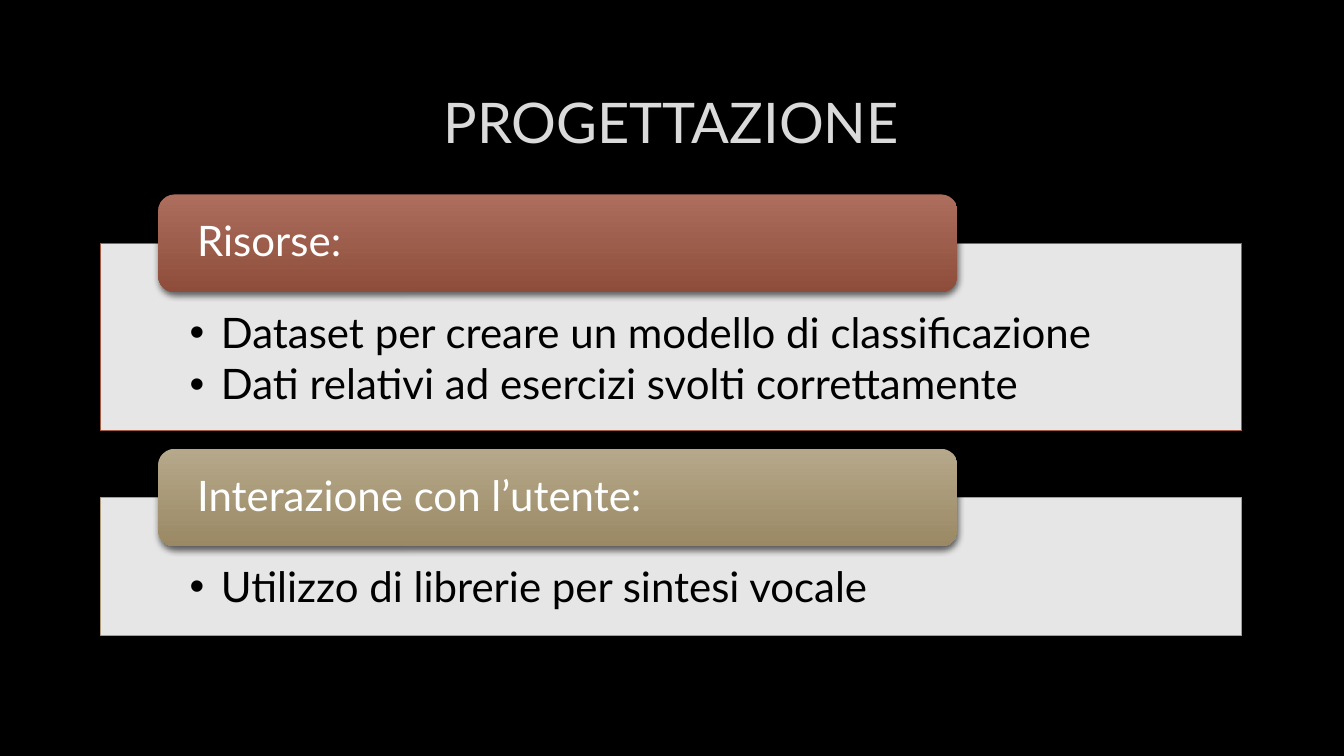
"""Build the PROGETTAZIONE slide with two titled panels."""
from lxml.etree import SubElement
from pptx import Presentation
from pptx.dml.color import RGBColor
from pptx.enum.shapes import MSO_SHAPE
from pptx.enum.text import MSO_ANCHOR, PP_ALIGN
from pptx.oxml.ns import qn
from pptx.util import Cm, Pt

BLACK = RGBColor(0x00, 0x00, 0x00)
WHITE = RGBColor(0xFF, 0xFF, 0xFF)
TITLE_GREY = RGBColor(0xDA, 0xDA, 0xDA)
RED_LINE = RGBColor(0xA5, 0x5A, 0x43)
RED_TOP = RGBColor(0xAD, 0x6E, 0x5E)
RED_BOTTOM = RGBColor(0x8E, 0x4D, 0x3A)
SAND_LINE = RGBColor(0xAD, 0x9D, 0x7B)
SAND_TOP = RGBColor(0xB6, 0xA8, 0x8B)
SAND_BOTTOM = RGBColor(0x9A, 0x89, 0x64)

MARGIN = 2.54
CONTENT_WIDTH = 28.75
HEADER_HEIGHT = 2.46
FIRST_HEADER_TOP = 4.9
SECTION_GAP = 0.46

SECTIONS = [
    ("Risorse:",
     ["Dataset per creare un modello di classificazione",
      "Dati relativi ad esercizi svolti correttamente"],
     4.72, RED_LINE, RED_TOP, RED_BOTTOM),
    ("Interazione con l’utente:",
     ["Utilizzo di librerie per sintesi vocale"],
     3.48, SAND_LINE, SAND_TOP, SAND_BOTTOM),
]


class SlideBuilder:
    """Hold the text style and the slide being drawn."""

    font_name = "Lato"
    title_size = Pt(40)
    body_size = Pt(30)

    def __init__(self, slide):
        self.slide = slide
        slide.background.fill.solid()
        slide.background.fill.fore_color.rgb = BLACK

    def format_paragraph(self, paragraph, size, color, alignment):
        """Apply font, size, colour and alignment to a paragraph."""
        paragraph.alignment = alignment
        for run in paragraph.runs:
            run.font.name = self.font_name
            run.font.size = size
            run.font.color.rgb = color

    def add_bullet(self, paragraph):
        """Give a paragraph a black bullet and a hanging indent."""
        properties = paragraph._p.get_or_add_pPr()
        properties.set("marL", str(Cm(0.79)))
        properties.set("indent", str(Cm(-0.79)))
        bullet_color = SubElement(properties, qn("a:buClr"))
        SubElement(bullet_color, qn("a:srgbClr"), val=str(BLACK))
        SubElement(properties, qn("a:buFont"), typeface="Arial")
        SubElement(properties, qn("a:buChar"), char="•")

    def add_shadow(self, shape):
        """Put a soft shadow under a shape."""
        shape.shadow.inherit = False
        effects = shape._element.spPr.find(qn("a:effectLst"))
        shadow = SubElement(effects, qn("a:outerShdw"), blurRad=str(Pt(5)),
                            dist=str(Pt(2)), dir="5400000", rotWithShape="0")
        color = SubElement(shadow, qn("a:srgbClr"), val=str(BLACK))
        SubElement(color, qn("a:alpha"), val="60000")

    def add_title(self, text):
        """Add the centred slide title."""
        shape = self.slide.shapes.add_textbox(
            Cm(MARGIN), Cm(1.7), Cm(CONTENT_WIDTH), Cm(2.7))
        text_frame = shape.text_frame
        text_frame.word_wrap = True
        text_frame.vertical_anchor = MSO_ANCHOR.MIDDLE
        text_frame.text = text
        self.format_paragraph(text_frame.paragraphs[0], self.title_size,
                              TITLE_GREY, PP_ALIGN.CENTER)

    def add_panel(self, top, height, items, line_color):
        """Add a translucent panel with a bulleted list."""
        shape = self.slide.shapes.add_shape(
            MSO_SHAPE.RECTANGLE, Cm(MARGIN), Cm(top),
            Cm(CONTENT_WIDTH), Cm(height))
        shape.shadow.inherit = False
        shape.fill.solid()
        shape.fill.fore_color.rgb = WHITE
        fill_color = shape._element.spPr.find(qn("a:solidFill"))[0]
        SubElement(fill_color, qn("a:alpha"), val="90000")
        shape.line.color.rgb = line_color
        shape.line.width = Pt(0.75)
        text_frame = shape.text_frame
        text_frame.word_wrap = True
        text_frame.vertical_anchor = MSO_ANCHOR.TOP
        text_frame.margin_left = text_frame.margin_right = Cm(2.24)
        text_frame.margin_top = Cm(1.73)
        text_frame.margin_bottom = Cm(0.58)
        text_frame.text = "\n".join(items)
        for paragraph in text_frame.paragraphs:
            self.add_bullet(paragraph)
            paragraph.line_spacing = 0.9
            paragraph.space_after = Pt(4.5)
            self.format_paragraph(paragraph, self.body_size, BLACK,
                                  PP_ALIGN.LEFT)

    def add_header(self, top, text, top_color, bottom_color):
        """Add a rounded gradient header."""
        shape = self.slide.shapes.add_shape(
            MSO_SHAPE.ROUNDED_RECTANGLE, Cm(3.99), Cm(top),
            Cm(20.14), Cm(HEADER_HEIGHT))
        self.add_shadow(shape)
        shape.fill.gradient()
        shape.fill.gradient_angle = 270
        for stop, color in zip(shape.fill.gradient_stops,
                               (top_color, bottom_color)):
            stop.color.rgb = color
        shape.line.fill.background()
        text_frame = shape.text_frame
        text_frame.word_wrap = True
        text_frame.vertical_anchor = MSO_ANCHOR.MIDDLE
        text_frame.margin_left = text_frame.margin_right = Cm(0.86)
        text_frame.margin_top = text_frame.margin_bottom = 0
        text_frame.text = text
        paragraph = text_frame.paragraphs[0]
        paragraph.line_spacing = 0.9
        self.format_paragraph(paragraph, self.body_size, WHITE,
                              PP_ALIGN.LEFT)


def main():
    """Create the presentation and save it."""
    presentation = Presentation()
    presentation.slide_width = Cm(33.87)
    presentation.slide_height = Cm(19.05)
    slide = presentation.slides.add_slide(presentation.slide_layouts[6])
    builder = SlideBuilder(slide)
    builder.add_title("PROGETTAZIONE")
    header_top = FIRST_HEADER_TOP
    for heading, items, height, line_color, top_color, bottom_color in SECTIONS:
        panel_top = header_top + HEADER_HEIGHT / 2
        builder.add_panel(panel_top, height, items, line_color)
        builder.add_header(header_top, heading, top_color, bottom_color)
        header_top = panel_top + height + SECTION_GAP
    presentation.save("out.pptx")


if __name__ == "__main__":
    main()
